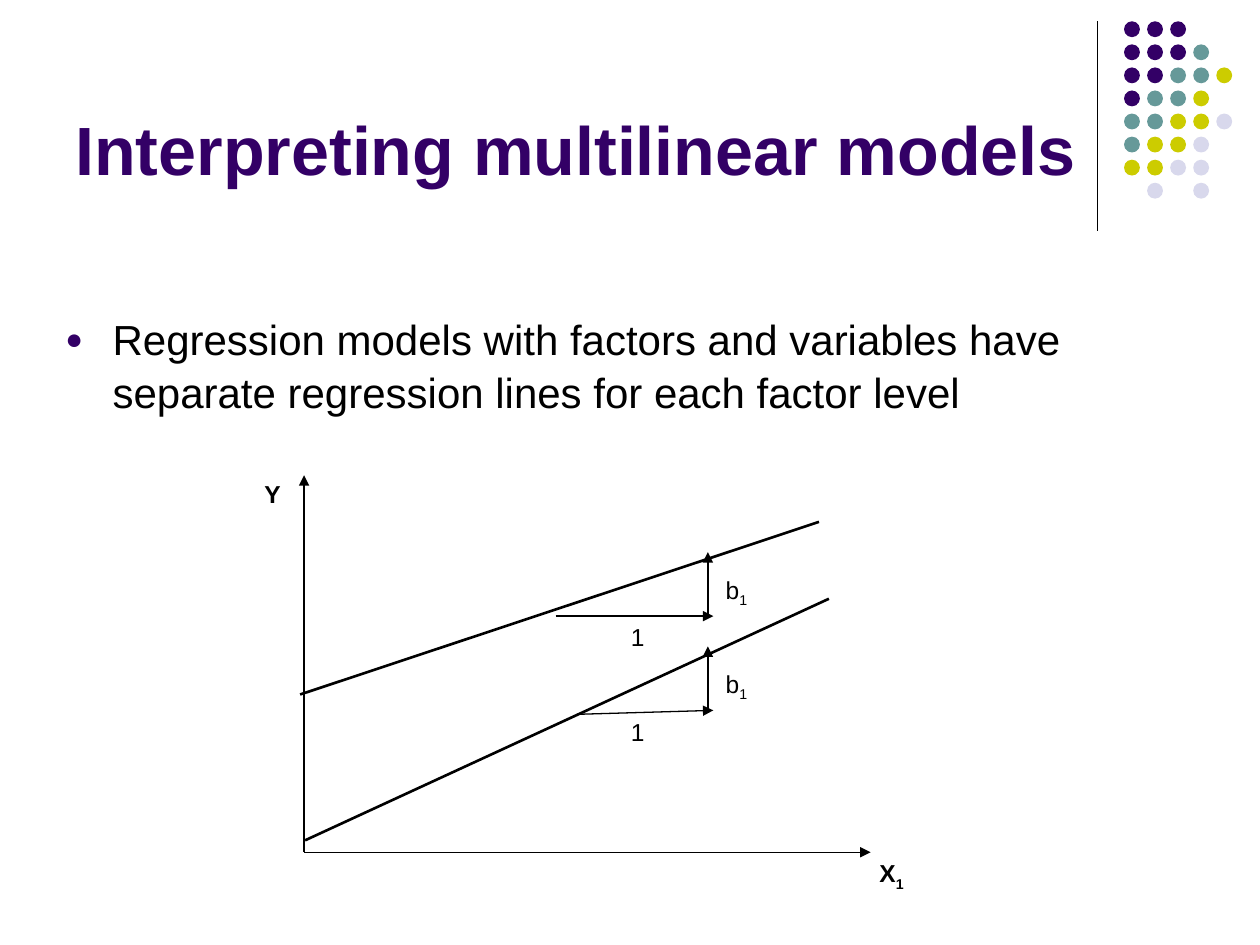
import pptx
import pptx.dml.color
import pptx.enum.shapes
import pptx.enum.text
import pptx.util
from lxml import etree
from pptx.oxml.ns import qn

Cm = pptx.util.Cm
Pt = pptx.util.Pt
ANCHOR = pptx.enum.text.MSO_ANCHOR


def rgb(value):
    return pptx.dml.color.RGBColor.from_string(value)


class SlideBuilder:
    font = "Arial"
    ink = "000000"
    accent = "330066"

    def __init__(self, s):
        self.s = s

    def line(self, x1, y1, x2, y2, width=0.75, arrow=False):
        sp = self.s.shapes.add_connector(
            pptx.enum.shapes.MSO_CONNECTOR.STRAIGHT, Cm(x1), Cm(y1), Cm(x2), Cm(y2))
        sp.line.color.rgb = rgb(self.ink)
        sp.line.width = Pt(width)
        if arrow:
            etree.SubElement(sp.line._get_or_add_ln(), qn("a:tailEnd"), type="triangle")
        etree.SubElement(sp._element.spPr, qn("a:effectLst"))

    def dot(self, x, y, size, color):
        sp = self.s.shapes.add_shape(
            pptx.enum.shapes.MSO_SHAPE.OVAL, Cm(x), Cm(y), Cm(size), Cm(size))
        sp.shadow.inherit = False
        sp.fill.solid()
        sp.fill.fore_color.rgb = rgb(color)
        sp.line.fill.background()

    def run(self, p, text, size, color, bold=False):
        r = p.add_run()
        r.text = text
        r.font.name = self.font
        r.font.size = Pt(size)
        r.font.bold = bold
        r.font.color.rgb = rgb(color)
        return r

    def text(self, x, y, w, h, text, size, color=ink, bold=False, anchor=ANCHOR.TOP):
        tf = self.s.shapes.add_textbox(Cm(x), Cm(y), Cm(w), Cm(h)).text_frame
        tf.word_wrap = True
        tf.vertical_anchor = anchor
        p = tf.paragraphs[0]
        self.run(p, text, size, color, bold)
        return p

    def label(self, x, y, text, sub="", bold=False):
        p = self.text(x, y, 1.57, 1.27, text, 14, bold=bold)
        if sub:
            r = self.run(p, sub, 14, self.ink, bold)
            r.font._element.set("baseline", "-25000")

    def bullet(self, x, y, w, h, text, size):
        p = self.text(x, y, w, h, text, size)
        p.line_spacing = 1.05
        pPr = p._p.get_or_add_pPr()
        pPr.set("marL", str(Cm(0.95)))
        pPr.set("indent", str(Cm(-0.95)))
        color = etree.SubElement(pPr, qn("a:buClr"))
        etree.SubElement(color, qn("a:srgbClr"), val=self.accent)
        etree.SubElement(pPr, qn("a:buSzPct"), val="70000")
        etree.SubElement(pPr, qn("a:buFont"), typeface=self.font)
        etree.SubElement(pPr, qn("a:buChar"), char="●")


def main():
    prs = pptx.Presentation()
    prs.slide_width = Cm(25.4)
    prs.slide_height = Cm(19.05)
    b = SlideBuilder(prs.slides.add_slide(prs.slide_layouts[6]))

    b.line(22.12, 0.43, 22.12, 4.65)
    colors = {"P": b.accent, "T": "669999", "Y": "CCCC00", "L": "D8D8EC"}
    rows = ["PPP", "PPPT", "PPTTY", "PTTY", "TTYYL", "TYYL", "YYLL", " L L"]
    pitch = 1.86 / 4
    for i, row in enumerate(rows):
        for j, key in enumerate(row):
            if key in colors:
                b.dot(22.66 + j * pitch, 0.43 + i * pitch, 0.32, colors[key])

    b.text(1.27, 0.33, 20.96, 3.61, "Interpreting multilinear models", 39,
           b.accent, True, ANCHOR.BOTTOM)
    b.bullet(1.07, 6.15, 22.86, 10.77,
             "Regression models with factors and variables have "
             "separate regression lines for each factor level", 24)

    b.line(6.13, 17.18, 6.13, 9.58, arrow=True)
    b.line(6.13, 17.18, 17.55, 17.18, arrow=True)
    b.label(5.08, 9.53, "Y", bold=True)
    b.label(17.48, 17.18, "X", "1", bold=True)

    b.line(6.05, 14, 16.51, 10.52, 1.5)
    b.line(6.15, 16.94, 16.71, 12.07, 1.5)

    for top, run_x, run_y in [(11.13, 11.2, 12.42), (13.03, 11.63, 14.4)]:
        b.line(run_x, run_y, 14.38, top + 1.29, arrow=True)
        b.line(14.27, top + 1.27, 14.27, top, arrow=True)
        b.label(14.38, top + 0.33, "b", "1")
        b.label(12.47, top + 1.29, "1")

    prs.save("out.pptx")


if __name__ == "__main__":
    main()
